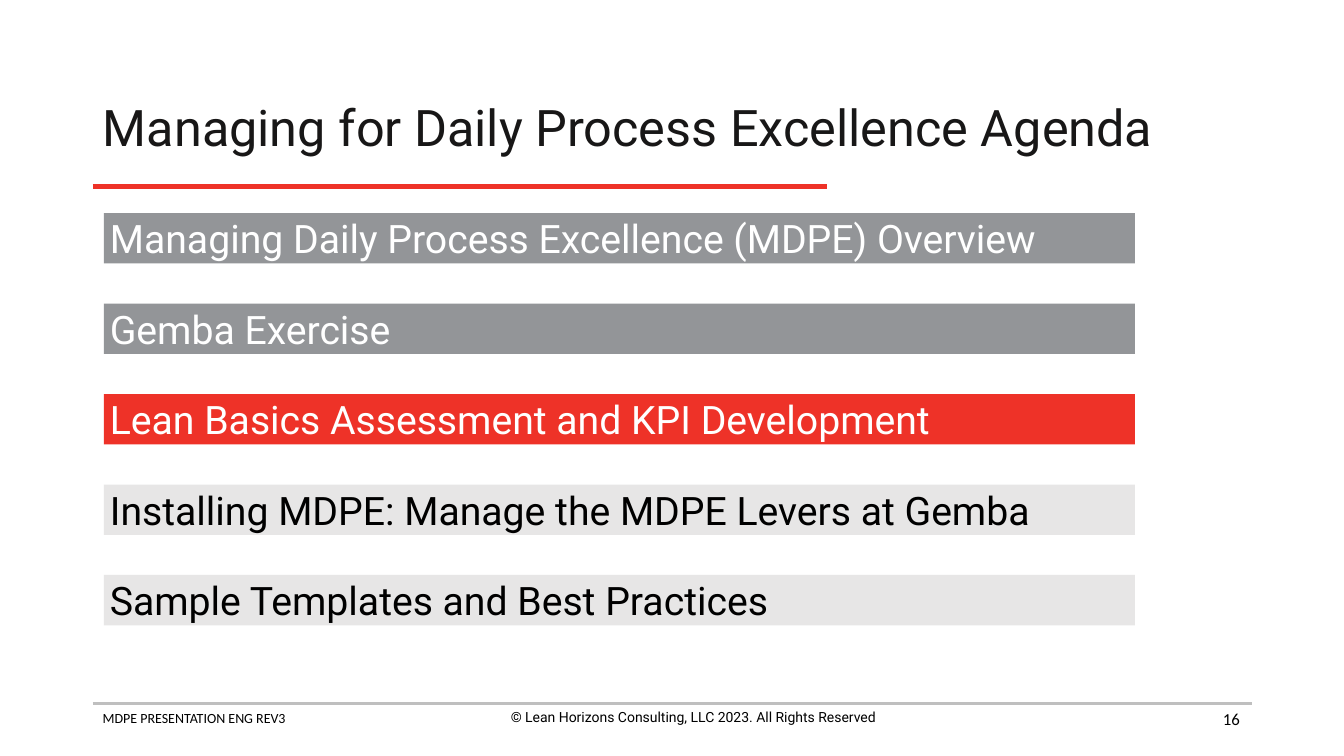
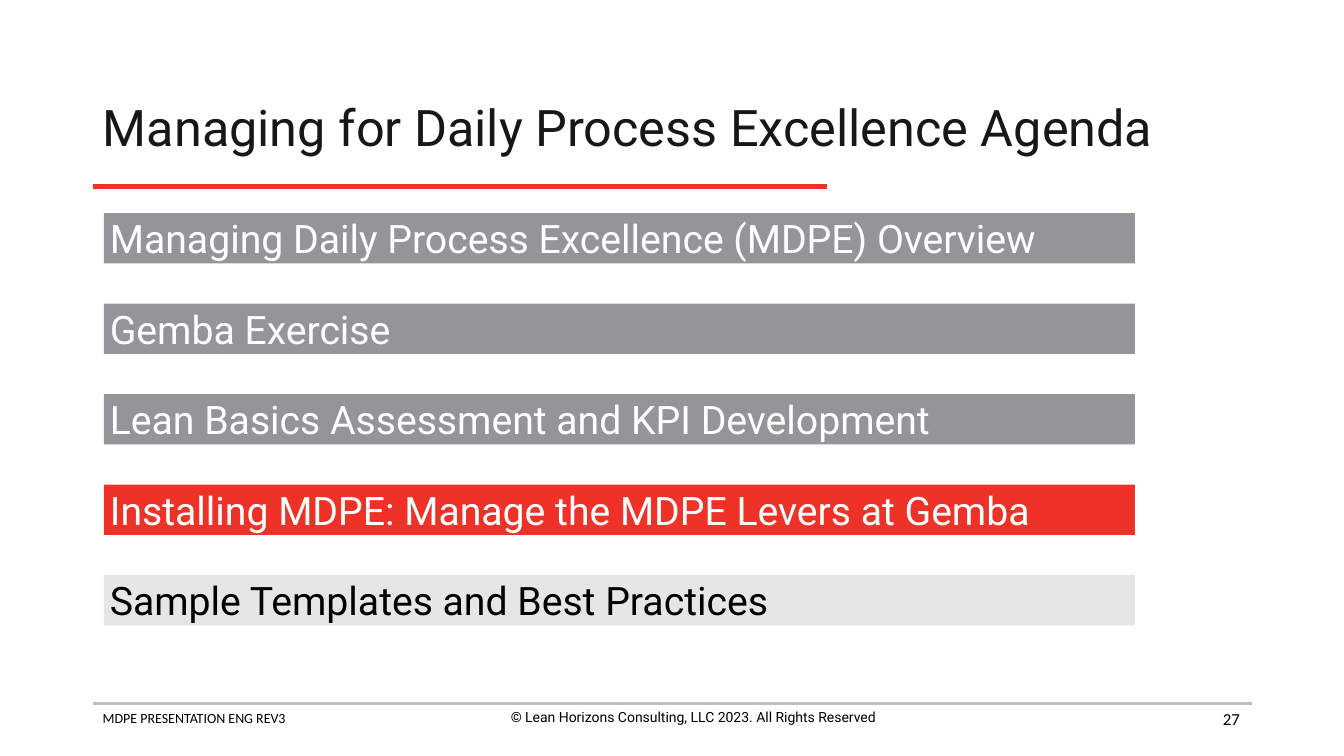
"""Build the agenda slides that open two sections of the MDPE presentation."""
import pptx
import pptx.util
import pptx.dml.color
import pptx.enum.shapes
import pptx.enum.text
import lxml.etree

Cm, Pt = pptx.util.Cm, pptx.util.Pt
ALIGN = pptx.enum.text.PP_ALIGN
ANCHOR = pptx.enum.text.MSO_ANCHOR

RED, GRAY, PALE, RULE = "EE3228", "939598", "E7E6E6", "BFBFBF"
INK, BLACK, WHITE = "181717", "000000", "FFFFFF"
TITLE = "Managing for Daily Process Excellence Agenda"
TOPICS = [
    "Managing Daily Process Excellence (MDPE) Overview",
    "Gemba Exercise",
    "Lean Basics Assessment and KPI Development",
    "Installing MDPE: Manage the MDPE Levers at Gemba",
    "Sample Templates and Best Practices",
]
SECTIONS = [(16, 2), (27, 3)]
RULES = [(17.73, 31.55, RULE, 2), (4.7, 20.83, RED, 3)]
LEFT = 2.34
BAR_TOP, BAR_STEP = 5.37, 2.28


def color(value):
    return pptx.dml.color.RGBColor.from_string(value)


def write(sp, text, size, font, ink, align=ALIGN.LEFT, anchor=ANCHOR.MIDDLE):
    tf = sp.text_frame
    tf.text = text
    tf.word_wrap = True
    tf.auto_size = pptx.enum.text.MSO_AUTO_SIZE.NONE
    tf.vertical_anchor = anchor
    p = tf.paragraphs[0]
    p.alignment = align
    r = p.runs[0]
    r.font.size, r.font.name = Pt(size), font
    r.font.color.rgb = color(ink)
    return tf


prs = pptx.Presentation()
prs.slide_width, prs.slide_height = Cm(33.87), Cm(19.05)

for number, current in SECTIONS:
    s = prs.slides.add_slide(prs.slide_layouts[5])

    for y, right, tint, weight in RULES:
        line = s.shapes.add_connector(
            pptx.enum.shapes.MSO_CONNECTOR.STRAIGHT, Cm(LEFT), Cm(y), Cm(right), Cm(y))
        line.line.color.rgb = color(tint)
        line.line.width = Pt(weight)
        lxml.etree.SubElement(
            line._element.spPr, pptx.oxml.ns.qn("a:effectLst"))

    title = s.shapes.title
    title.left, title.top, title.width, title.height = Cm(LEFT), Cm(1.88), Cm(29.21), Cm(2.79)
    write(title, TITLE, 36, "Roboto", INK).paragraphs[0].line_spacing = 0.9

    footers = [
        (LEFT, 17.75, 11.58, 1.12, "MDPE PRESENTATION ENG REV3",
         10, "Calibri", ALIGN.LEFT, ANCHOR.TOP),
        (11.68, 17.73, 11.58, 1.12, "© Lean Horizons Consulting, LLC 2023. All Rights Reserved",
         10, "Roboto", ALIGN.CENTER, ANCHOR.TOP),
        (23.88, 17.6, 7.62, 1.02, str(number),
         12, "Calibri", ALIGN.RIGHT, ANCHOR.MIDDLE),
    ]
    for x, y, w, h, text, size, font, align, anchor in footers:
        box = s.shapes.add_textbox(Cm(x), Cm(y), Cm(w), Cm(h))
        write(box, text, size, font, BLACK, align, anchor)

    for i, topic in enumerate(TOPICS):
        bar = s.shapes.add_shape(
            pptx.enum.shapes.MSO_SHAPE.RECTANGLE,
            Cm(2.62), Cm(BAR_TOP + i * BAR_STEP), Cm(25.98), Cm(1.27))
        bar.shadow.inherit = False
        bar.fill.solid()
        bar.fill.fore_color.rgb = color(GRAY if i < current else RED if i == current else PALE)
        bar.line.fill.background()
        tf = write(bar, topic, 28, "Roboto", WHITE if i <= current else BLACK)
        tf.margin_left = tf.margin_right = tf.margin_top = tf.margin_bottom = Cm(0.15)

prs.save("out.pptx")
